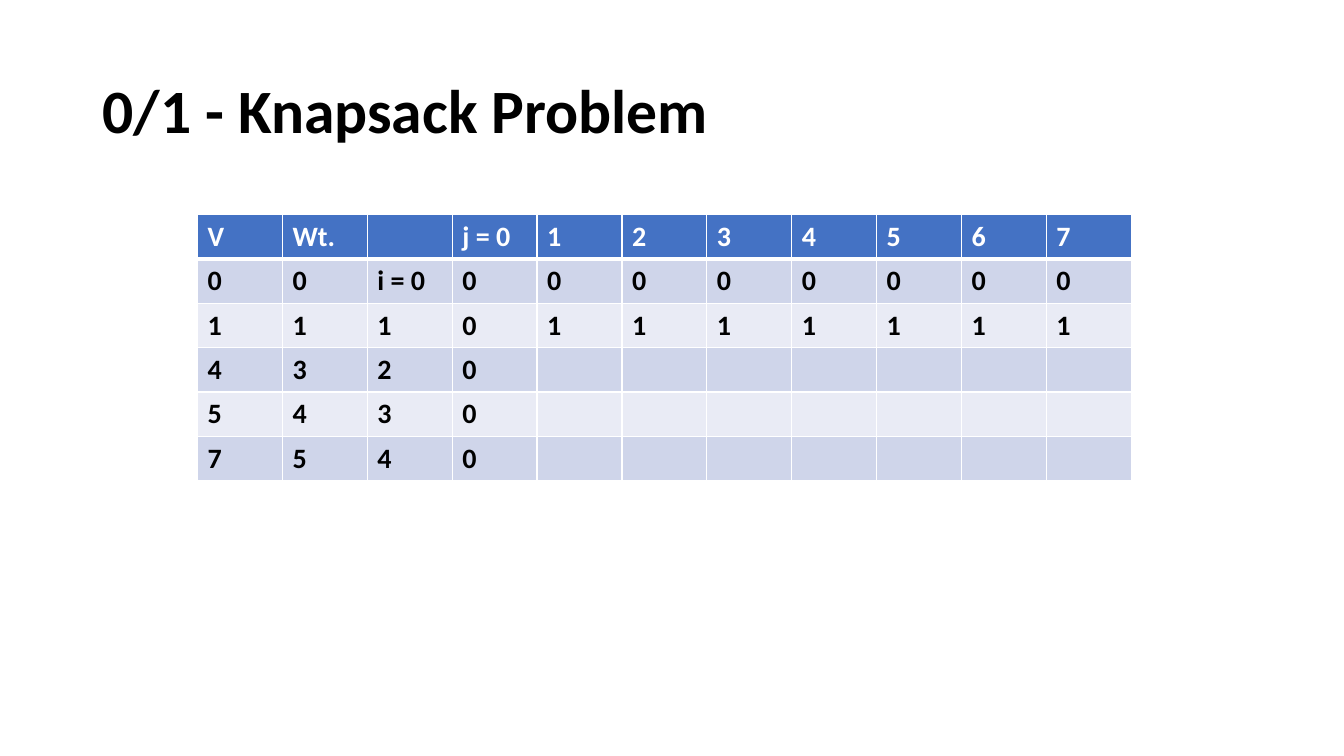
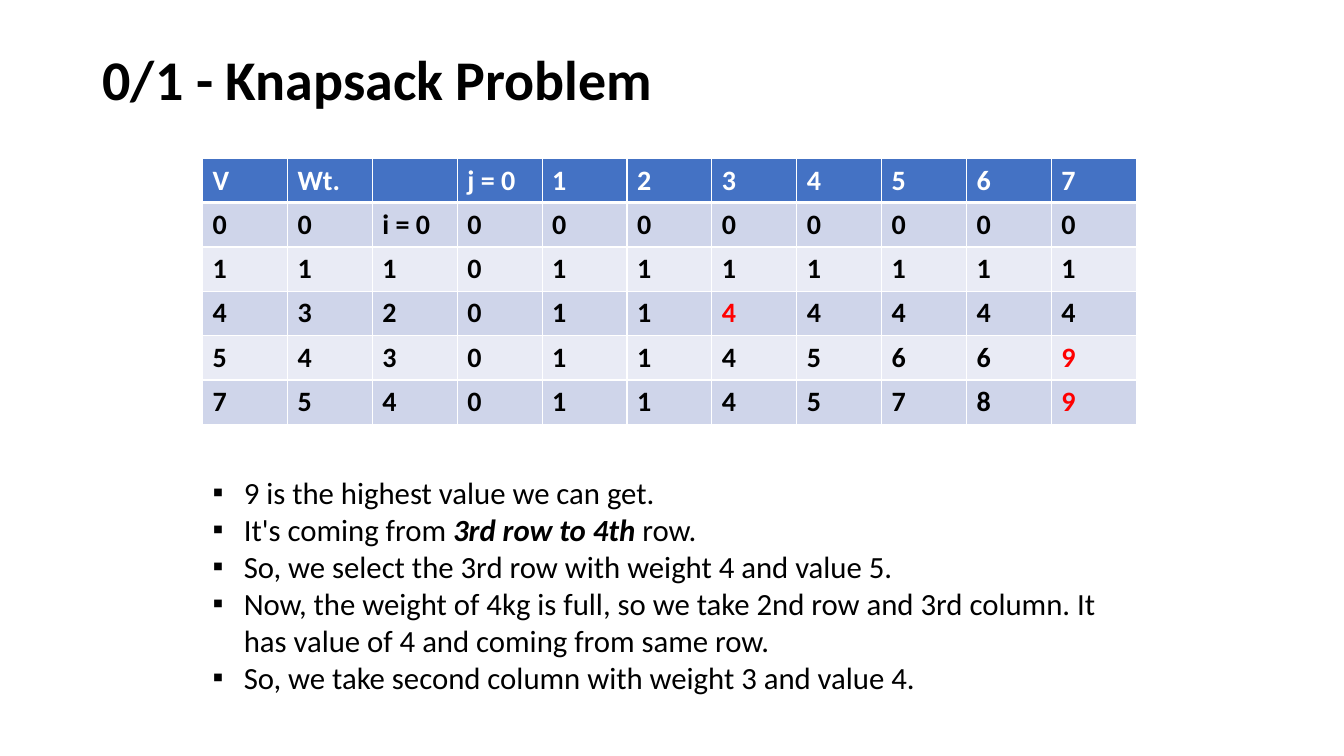
from pptx import Presentation
from pptx.dml.color import RGBColor
from pptx.enum.text import MSO_ANCHOR
from pptx.oxml.ns import qn
from pptx.util import Inches, Pt
from lxml.etree import SubElement

WHITE = RGBColor(0xFF, 0xFF, 0xFF)
BLACK = RGBColor(0x00, 0x00, 0x00)
RED = RGBColor(0xFF, 0x00, 0x00)
HEADER_BLUE = RGBColor(0x44, 0x72, 0xC4)
BANDS = (RGBColor(0xE9, 0xEB, 0xF5), RGBColor(0xCF, 0xD5, 0xEA))

FONT = "Calibri"
TITLE = "0/1 - Knapsack Problem"
CELL_FORMAT = {"name": FONT, "size": Pt(20), "bold": True}
BODY_FORMAT = {"name": FONT, "size": Pt(22)}
EMPHASIS = {"bold": True, "italic": True}

CAPACITY = 7
HEADER = ["V", "Wt.", "", "j = 0", *map(str, range(1, CAPACITY + 1))]
ITEMS = [(0, 0), (1, 1), (4, 3), (5, 4), (7, 5)]
FIRST_ROWS = [[0] * 7, [1] * 7]
PARTIAL_ROWS = FIRST_ROWS + [[""] * 7] * 3
FULL_ROWS = FIRST_ROWS + [
    [1, 1, 4, 4, 4, 4, 4],
    [1, 1, 4, 5, 6, 6, 9],
    [1, 1, 4, 5, 7, 8, 9],
]
CHOSEN_CELLS = {(3, 6), (4, 10), (5, 10)}

NOTES = [
    [("9 is the highest value we can get.", {})],
    [("It's coming from ", {}), ("3rd row to 4th ", EMPHASIS), ("row.", {})],
    [("So, we select the 3rd row with weight 4 and value 5.", {})],
    [("Now, the weight of 4kg is full, so we take 2nd row and 3rd column. "
      "It has value of 4 and coming from same row.", {})],
    [("So, we take second column with weight 3 and value 4.", {})],
]


def add_run(p, text, color, formats):
    r = p.add_run()
    r.text = text
    for name, value in formats.items():
        setattr(r.font, name, value)
    r.font.color.rgb = color


def add_text_frame(s, left, top, width, height):
    tf = s.shapes.add_textbox(
        Inches(left), Inches(top), Inches(width), Inches(height)).text_frame
    tf.word_wrap = True
    return tf


def add_title(s, height, size):
    tf = add_text_frame(s, 0.92, 0.4, 11.5, height)
    tf.vertical_anchor = MSO_ANCHOR.MIDDLE
    p = tf.paragraphs[0]
    p.line_spacing = 0.9
    add_run(p, TITLE, BLACK, {"name": FONT, "size": Pt(size), "bold": True})


def set_borders(cell, row):
    widths = {"L": 1, "R": 1, "T": 3 if row == 1 else 1, "B": 3 if row == 0 else 1}
    tcPr = cell._tc.get_or_add_tcPr()
    for side, width in widths.items():
        ln = SubElement(tcPr, qn(f"a:ln{side}"), w=str(Pt(width)))
        fill = SubElement(ln, qn("a:solidFill"))
        SubElement(fill, qn("a:srgbClr"), val=str(WHITE))


def knapsack_rows(results):
    rows = [HEADER]
    for i, ((value, weight), result) in enumerate(zip(ITEMS, results)):
        rows.append([value, weight, i if i else "i = 0", 0, *result])
    return rows


def add_knapsack_table(s, left, top, results, chosen=()):
    rows = knapsack_rows(results)
    table = s.shapes.add_table(
        len(rows), len(HEADER), Inches(left), Inches(top),
        Inches(9.26), Inches(0.44 * len(rows))).table
    for i, row in enumerate(rows):
        for j, value in enumerate(row):
            cell = table.cell(i, j)
            set_borders(cell, i)
            cell.fill.solid()
            cell.fill.fore_color.rgb = BANDS[i % 2] if i else HEADER_BLUE
            color = RED if (i, j) in chosen else BLACK if i else WHITE
            if value != "":
                add_run(cell.text_frame.paragraphs[0], str(value), color, CELL_FORMAT)


def add_bullet(p):
    pPr = p._p.get_or_add_pPr()
    indent = Inches(0.31)
    pPr.set("marL", str(indent))
    pPr.set("indent", str(-indent))
    SubElement(pPr, qn("a:buFont"), typeface="Arial")
    SubElement(pPr, qn("a:buChar"), char="▪")


def add_notes_list(s):
    tf = add_text_frame(s, 2.01, 4.65, 9.35, 2.32)
    for i, runs in enumerate(NOTES):
        p = tf.add_paragraph() if i else tf.paragraphs[0]
        add_bullet(p)
        for text, formats in runs:
            add_run(p, text, BLACK, BODY_FORMAT | formats)


def main():
    prs = Presentation()
    prs.slide_width, prs.slide_height = Inches(13.33), Inches(7.5)
    blank = prs.slide_layouts[6]

    s = prs.slides.add_slide(blank)
    add_title(s, 1.45, 44)
    add_knapsack_table(s, 1.96, 2.13, PARTIAL_ROWS)

    s = prs.slides.add_slide(blank)
    add_title(s, 0.84, 40)
    add_knapsack_table(s, 2.01, 1.57, FULL_ROWS, CHOSEN_CELLS)
    add_notes_list(s)

    prs.save("out.pptx")


if __name__ == "__main__":
    main()
